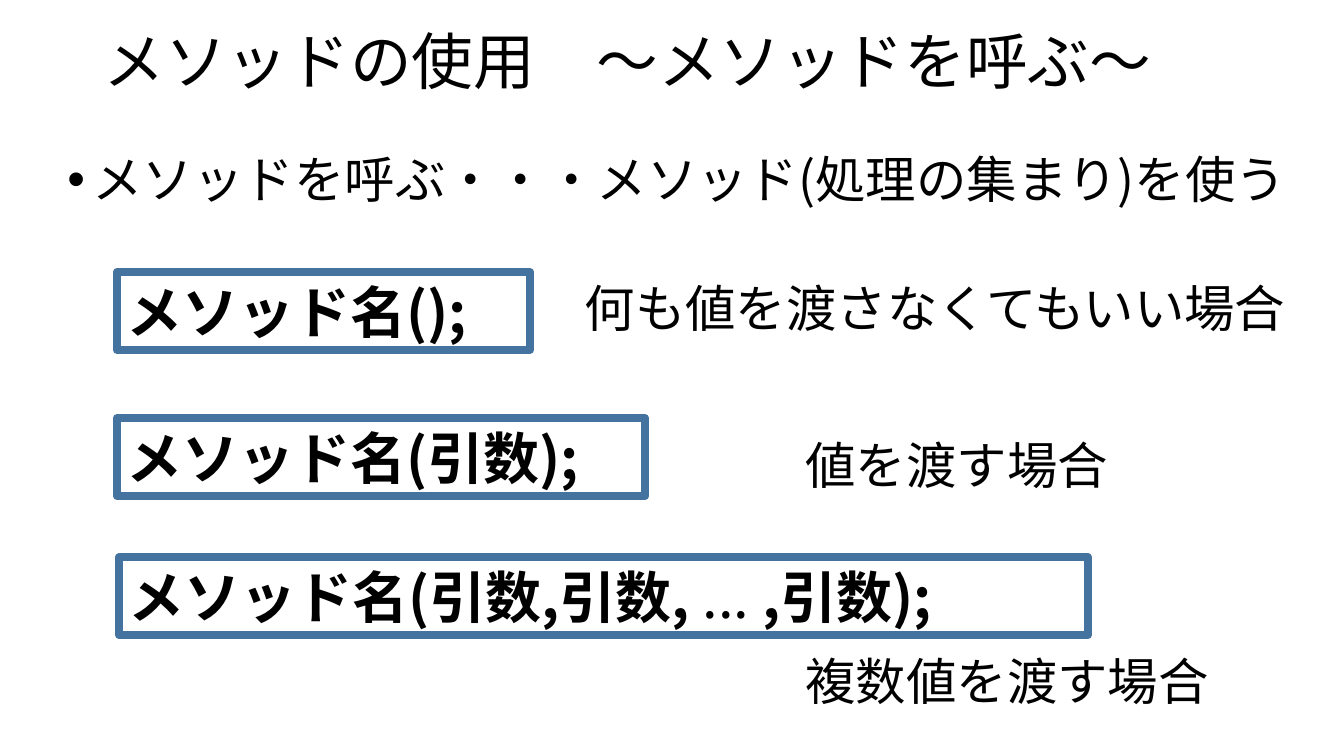
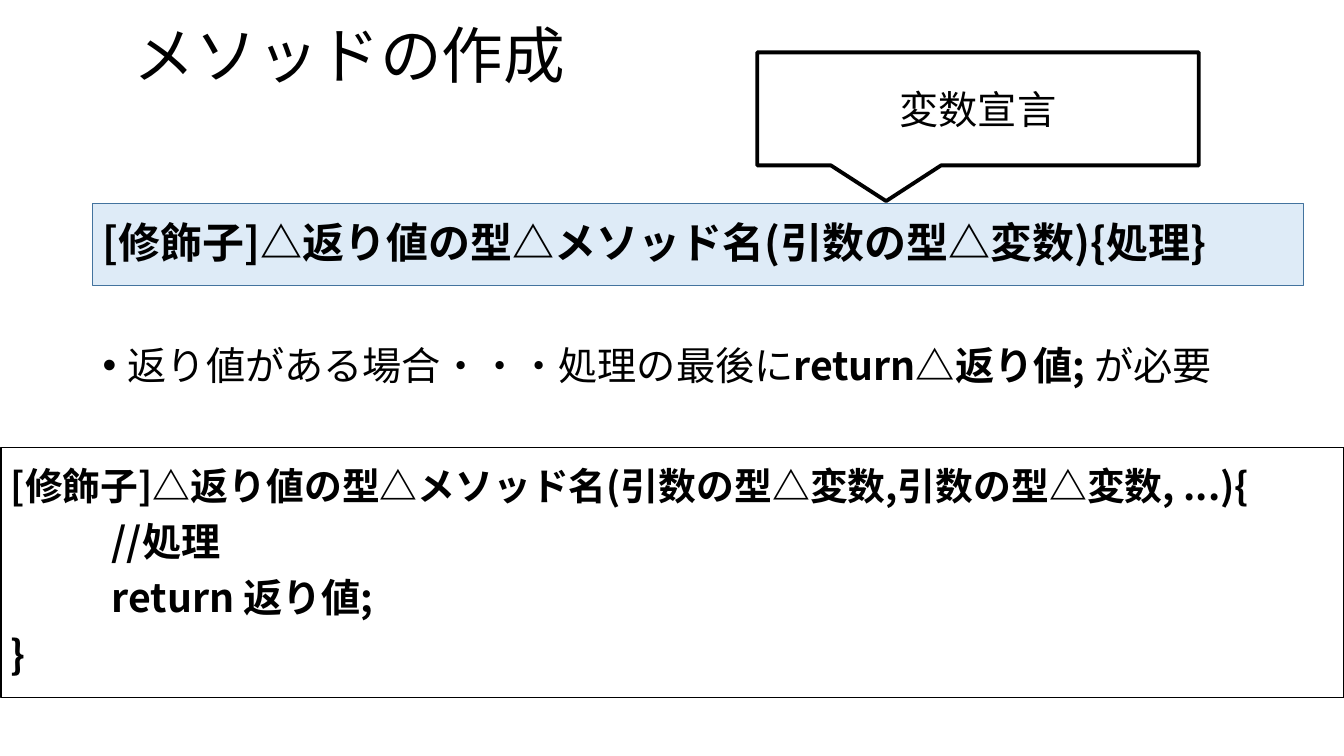
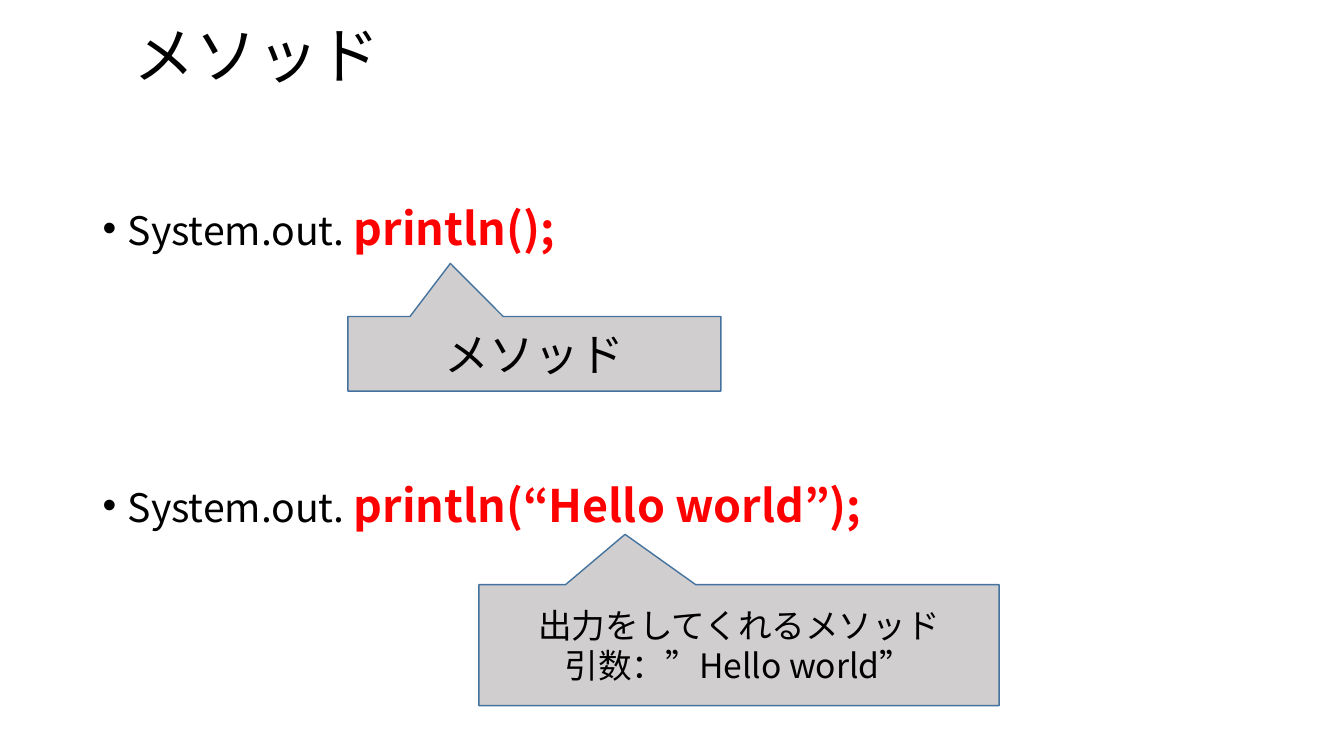
"""Build three slides on calling and creating methods."""
from lxml import etree
from pptx import Presentation
from pptx.dml.color import RGBColor
from pptx.enum.shapes import MSO_SHAPE
from pptx.enum.text import MSO_ANCHOR, PP_ALIGN
from pptx.oxml.ns import qn
from pptx.util import Inches, Pt

RECTANGLE, CALLOUT = MSO_SHAPE.RECTANGLE, MSO_SHAPE.RECTANGULAR_CALLOUT
TOP, MIDDLE = MSO_ANCHOR.TOP, MSO_ANCHOR.MIDDLE
LEFT, CENTER = PP_ALIGN.LEFT, PP_ALIGN.CENTER
FONT = "Noto Sans CJK JP"
BULLET = "•"
COLORS = {"text": "000000", "accent": "FF0000", "edge": "43739E",
          "white": "FFFFFF", "pale": "DEEBF7", "gray": "D0CECE"}

TITLE = {"size": 44}
NOTE = {"size": 36}
CALL = {"size": 40, "bold": True}
BODY = {"size": 28}
STRONG = {"size": 28, "bold": True}
SYNTAX = {"size": 30, "bold": True}
SIGNATURE = {"size": 27, "bold": True}
METHOD = {"size": 32, "bold": True, "color": "accent"}

PLAIN = {"alignment": LEFT}
TIGHT = {"alignment": LEFT, "line_spacing": 0.9}
SPACED = {**TIGHT, "space_before": Pt(10)}
FAR = {**TIGHT, "space_before": Pt(163.5)}
CENTERED = {"alignment": CENTER}

CALL_BOX = {"line": "edge", "weight": 5.75}
SYNTAX_BOX = {"fill": "pale", "line": "edge", "weight": 1, "anchor": MIDDLE}
CODE_BOX = {"fill": "white", "line": "text", "weight": 1, "anchor": MIDDLE}
SPEECH = {"kind": CALLOUT, "fill": "white", "line": "text", "weight": 2.75, "anchor": MIDDLE}
LABEL = {**SPEECH, "fill": "gray", "line": "edge", "weight": 1}

CALL_TITLE = ("メソッドの使用　～メソッドを呼ぶ～", (0.93, 0.09, 11.5, 1.1))
CALL_INTRO = "メソッドを呼ぶ・・・メソッド(処理の集まり)を使う"
CALL_FORMS = [
    ((1.16, 2.7, 4.1, 0.77), [("メソッド名();", CALL)]),
    ((1.16, 4.15, 5.24, 0.77), [("メソッド名(引数);", CALL)]),
    ((1.18, 5.53, 9.61, 0.77), [("メソッド名(引数,引数, ", CALL), ("...", {"size": 40}),
                                (" ,引数);", CALL)]),
]
CALL_NOTES = [
    ((5.7, 2.7, 7.39, 0.71), "何も値を渡さなくてもいい場合"),
    ((7.89, 4.26, 3.95, 0.71), "値を渡す場合"),
    ((7.89, 6.4, 4.75, 0.71), "複数値を渡す場合"),
]
TITLE_AREA = (1.23, 0.08, 11.5, 1)
SYNTAX_TEXT = "[修飾子]△返り値の型△メソッド名(引数の型△変数){処理}"
RETURN_RULE = [("返り値がある場合・・・処理の最後に", BODY), ("return△返り値; ", STRONG),
               ("が必要", BODY)]
CODE_LINES = [
    ("[修飾子]△返り値の型△メソッド名(引数の型△変数,引数の型△変数, ...){", SIGNATURE, 0),
    ("//処理", STRONG, 1),
    ("return 返り値;", STRONG, 1),
    ("}", STRONG, 0),
]
PRINT_CALLS = [("println();", SPACED), ("println(“Hello world”);", FAR)]
PRINT_LABELS = [
    ((3.45, 3.14, 3.7, 0.74), (-0.225, -1.212), 32, ["メソッド"]),
    ((4.75, 5.8, 5.16, 1.2), (-0.219, -0.916), 24,
     ["出力をしてくれるメソッド", "引数：”Hello world”"]),
]


def rgb(name):
    return RGBColor.from_string(COLORS[name])


def line_of(runs, layout=PLAIN, indent=0, bullet=False):
    return {"runs": runs, "layout": layout, "indent": indent, "bullet": bullet}


def add_run(paragraph, text, style):
    run = paragraph.add_run()
    run.text = text
    values = {"name": FONT, "size": Pt(style["size"]), "bold": style.get("bold", False)}
    for name, value in values.items():
        setattr(run.font, name, value)
    run.font.color.rgb = rgb(style.get("color", "text"))
    properties = run.font._element
    etree.SubElement(properties, qn("a:ea")).set("typeface", FONT)


def write(shape, lines, anchor):
    frame = shape.text_frame
    frame.word_wrap = True
    frame.vertical_anchor = anchor
    for number, line in enumerate(lines):
        paragraph = frame.add_paragraph() if number else frame.paragraphs[0]
        for name, value in line["layout"].items():
            setattr(paragraph, name, value)
        properties = paragraph._p.get_or_add_pPr()
        if line["indent"]:
            properties.set("marL", str(Inches(line["indent"])))
        if line["bullet"]:
            properties.set("marL", str(Inches(0.25)))
            properties.set("indent", str(Inches(-0.25)))
            etree.SubElement(properties, qn("a:buFont")).set("typeface", "Arial")
            etree.SubElement(properties, qn("a:buChar")).set("char", BULLET)
        for text, style in line["runs"]:
            add_run(paragraph, text, style)


def add_text(slide, area, lines, anchor=TOP):
    shape = slide.shapes.add_textbox(*map(Inches, area))
    write(shape, lines, anchor)


def add_box(slide, area, lines, look, pointer=()):
    shape = slide.shapes.add_shape(look.get("kind", RECTANGLE), *map(Inches, area))
    shape.shadow.inherit = False
    if "fill" in look:
        shape.fill.solid()
        shape.fill.fore_color.rgb = rgb(look["fill"])
    else:
        shape.fill.background()
    shape.line.color.rgb = rgb(look["line"])
    shape.line.width = Pt(look["weight"])
    for number, value in enumerate(pointer):
        shape.adjustments[number] = value
    write(shape, lines, look.get("anchor", TOP))


def add_slide(presentation, title, area=TITLE_AREA):
    slide = presentation.slides.add_slide(presentation.slide_layouts[6])
    add_text(slide, area, [line_of([(title, TITLE)], TIGHT)], MIDDLE)
    return slide


def build_calling(presentation):
    slide = add_slide(presentation, *CALL_TITLE)
    add_text(slide, (0.57, 1.49, 12.76, 1.2),
             [line_of([(CALL_INTRO, NOTE)], SPACED, bullet=True)])
    for area, runs in CALL_FORMS:
        add_box(slide, area, [line_of(runs)], CALL_BOX)
    for area, text in CALL_NOTES:
        add_text(slide, area, [line_of([(text, NOTE)])])


def build_creating(presentation):
    slide = add_slide(presentation, "メソッドの作成")
    add_text(slide, (0.92, 3.39, 11.5, 1), [line_of(RETURN_RULE, SPACED, bullet=True)])
    add_box(slide, (7.51, 0.52, 4.38, 1.12), [line_of([("変数宣言", BODY)], CENTERED)],
            SPEECH, (-0.208, 0.817))
    add_box(slide, (0.92, 2.02, 12.01, 0.81), [line_of([(SYNTAX_TEXT, SYNTAX)], SPACED)],
            SYNTAX_BOX)
    code = [line_of([(text, style)], SPACED, indent) for text, style, indent in CODE_LINES]
    add_box(slide, (0.01, 4.44, 13.32, 2.48), code, CODE_BOX)


def build_printing(presentation):
    slide = add_slide(presentation, "メソッド")
    calls = [line_of([("System.out. ", BODY), (call, METHOD)], layout, bullet=True)
             for call, layout in PRINT_CALLS]
    add_text(slide, (0.92, 2, 11.5, 4.76), calls)
    for area, pointer, size, texts in PRINT_LABELS:
        lines = [line_of([(text, {"size": size})], CENTERED) for text in texts]
        add_box(slide, area, lines, LABEL, pointer)


def main():
    presentation = Presentation()
    presentation.slide_width = Inches(13.33)
    presentation.slide_height = Inches(7.5)
    for build in (build_calling, build_creating, build_printing):
        build(presentation)
    presentation.save("out.pptx")


if __name__ == "__main__":
    main()
